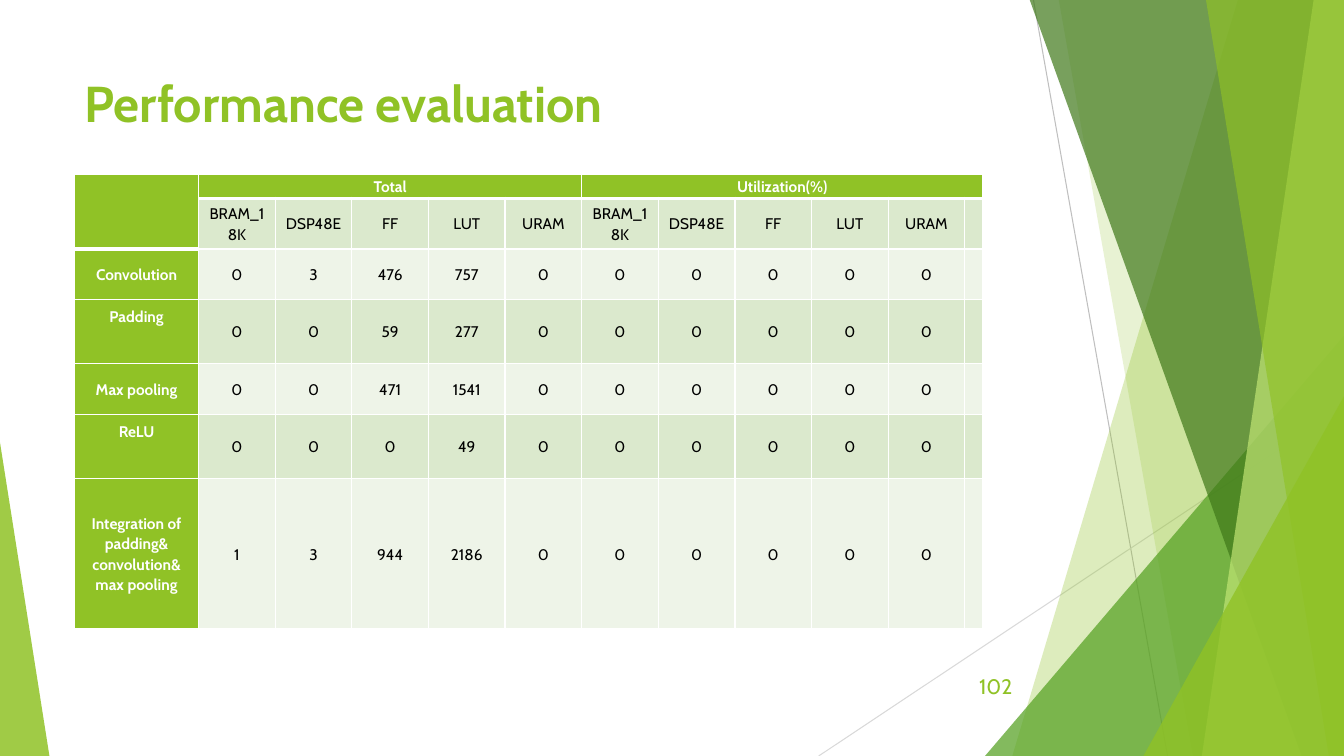
"""Build the performance evaluation slide with its resource usage table."""
from dataclasses import dataclass

from lxml import etree
from pptx import Presentation
from pptx.dml.color import RGBColor
from pptx.enum.shapes import MSO_CONNECTOR, MSO_SHAPE
from pptx.enum.text import MSO_ANCHOR, PP_ALIGN
from pptx.oxml.ns import qn
from pptx.util import Pt

PX = 9144
STRAIGHT = MSO_CONNECTOR.STRAIGHT
TRIANGLE = MSO_SHAPE.ISOSCELES_TRIANGLE
MIDDLE = MSO_ANCHOR.MIDDLE
TOP = MSO_ANCHOR.TOP
LEFT, CENTER, RIGHT = PP_ALIGN.LEFT, PP_ALIGN.CENTER, PP_ALIGN.RIGHT


@dataclass(frozen=True)
class Theme:
    font: str = "Cabin"
    green: str = "90C226"
    mid_green: str = "54A021"
    dark_green: str = "3F7819"
    lime: str = "C0E474"
    band_dark: str = "DBE9CD"
    band_light: str = "EEF4E8"
    white: str = "FFFFFF"
    black: str = "000000"
    line: str = "BFBFBF"
    pale_line: str = "D9D9D9"
    title_size: int = 36
    number_size: int = 15
    table_size: int = 11


T = Theme()


def paint(sp, color, alpha):
    sp.shadow.inherit = False
    sp.line.fill.background()
    sp.fill.solid()
    sp.fill.fore_color.rgb = RGBColor.from_string(color)
    clr = sp.fill._xPr.find(".//" + qn("a:srgbClr"))
    etree.SubElement(clr, qn("a:alpha"), val=str(alpha * 1000))


def write(tf, text, size, color, bold, align):
    p = tf.paragraphs[0]
    p.alignment = align
    r = p.add_run()
    r.text = text
    r.font.name = T.font
    r.font.size = Pt(size)
    r.font.bold = bold
    r.font.color.rgb = RGBColor.from_string(color)
    return p


prs = Presentation()
prs.slide_width = 1333 * PX
prs.slide_height = 750 * PX
s = prs.slides.add_slide(prs.slide_layouts[6])

for x1, y1, x2, y2, color in [
    (1025, 0, 1158, 750, T.line),
    (1333, 403, 812, 750, T.pale_line),
]:
    cxn = s.shapes.add_connector(STRAIGHT, x1 * PX, y1 * PX, x2 * PX, y2 * PX)
    cxn.line.color.rgb = RGBColor.from_string(color)
    cxn.line.width = Pt(0.75)
    etree.SubElement(cxn._element.spPr, qn("a:effectLst"))

facets = [
    ("band", (1228, 1004), T.green, 30),
    ("band", (1050, 1183), T.green, 20),
    ("triangle", (977, 333, 356, 417, 1), T.mid_green, 72),
    ("band", (1021, 1291), T.dark_green, 70),
    ("band", (1303, 1192), T.lime, 70),
    ("band", (1196, 1318), T.green, 65),
    ("triangle", (1134, 393, 199, 357, 1), T.green, 80),
    ("triangle", (0, 439, 49, 311, 0), T.green, 85),
]
for kind, place, color, alpha in facets:
    if kind == "band":
        top_x, bottom_x = place
        fb = s.shapes.build_freeform(top_x, -1, scale=PX)
        fb.add_line_segments([(1333, -1), (1333, 750), (bottom_x, 750)], close=True)
        sp = fb.convert_to_shape()
    else:
        x, y, w, h, apex = place
        sp = s.shapes.add_shape(TRIANGLE, x * PX, y * PX, w * PX, h * PX)
        sp.adjustments[0] = apex
    paint(sp, color, alpha)

for text, x, y, w, h, size, bold, align, anchor in [
    ("Performance evaluation", 74, 67, 940, 144, T.title_size, True, LEFT, TOP),
    ("102", 939, 661, 75, 40, T.number_size, False, RIGHT, MIDDLE),
]:
    tf = s.shapes.add_textbox(x * PX, y * PX, w * PX, h * PX).text_frame
    tf.word_wrap = True
    tf.vertical_anchor = anchor
    write(tf, text, size, T.green, bold, align)

resources = ["BRAM_18K", "DSP48E", "FF", "LUT", "URAM"]
unused = ["0"] * len(resources)
rows = [
    ["", "Total", "", "", "", "", "Utilization(%)", "", "", "", "", ""],
    ["", *resources, *resources, ""],
    ["Convolution", "0", "3", "476", "757", "0", *unused, ""],
    ["Padding", "0", "0", "59", "277", "0", *unused, ""],
    ["Max pooling", "0", "0", "471", "1541", "0", *unused, ""],
    ["ReLU", "0", "0", "0", "49", "0", *unused, ""],
    ["Integration of padding& convolution& max pooling",
     "1", "3", "944", "2186", "0", *unused, ""],
]
raised_labels = ("Padding", "ReLU")
col_widths = [123] + [76] * 10 + [13]
row_heights = [24, 50, 50, 64, 50, 64, 149]

table = s.shapes.add_table(
    len(rows), len(col_widths), 74 * PX, 173 * PX,
    sum(col_widths) * PX, sum(row_heights) * PX).table
for col, width in zip(table.columns, col_widths):
    col.width = width * PX
for row, height in zip(table.rows, row_heights):
    row.height = height * PX
for r1, c1, r2, c2 in [(0, 0, 1, 0), (0, 1, 0, 5), (0, 6, 0, 11)]:
    table.cell(r1, c1).merge(table.cell(r2, c2))

for i, row in enumerate(rows):
    for j, text in enumerate(row):
        cell = table.cell(i, j)
        header = i == 0 or j == 0
        cell.margin_left = cell.margin_right = 7 * PX
        cell.margin_top = 0
        cell.margin_bottom = 31 * PX if text in raised_labels else 0
        cell.vertical_anchor = MIDDLE

        header_end = 1 if j == 0 else 0
        top = 3 if i == header_end + 1 else 1
        bottom = 3 if i in (0, header_end) else 1
        for side, weight in [("L", 1), ("R", 1), ("T", top), ("B", bottom)]:
            ln = etree.SubElement(cell._tc.get_or_add_tcPr(), qn("a:ln" + side),
                                  w=str(Pt(weight)))
            fill = etree.SubElement(ln, qn("a:solidFill"))
            etree.SubElement(fill, qn("a:srgbClr"), val=T.white)

        band = T.band_dark if i % 2 else T.band_light
        cell.fill.solid()
        cell.fill.fore_color.rgb = RGBColor.from_string(T.green if header else band)
        if text:
            p = write(cell.text_frame, text, T.table_size,
                      T.white if header else T.black, header, CENTER)
            p.line_spacing = 1.07
            p.space_after = Pt(8)

prs.save("out.pptx")
